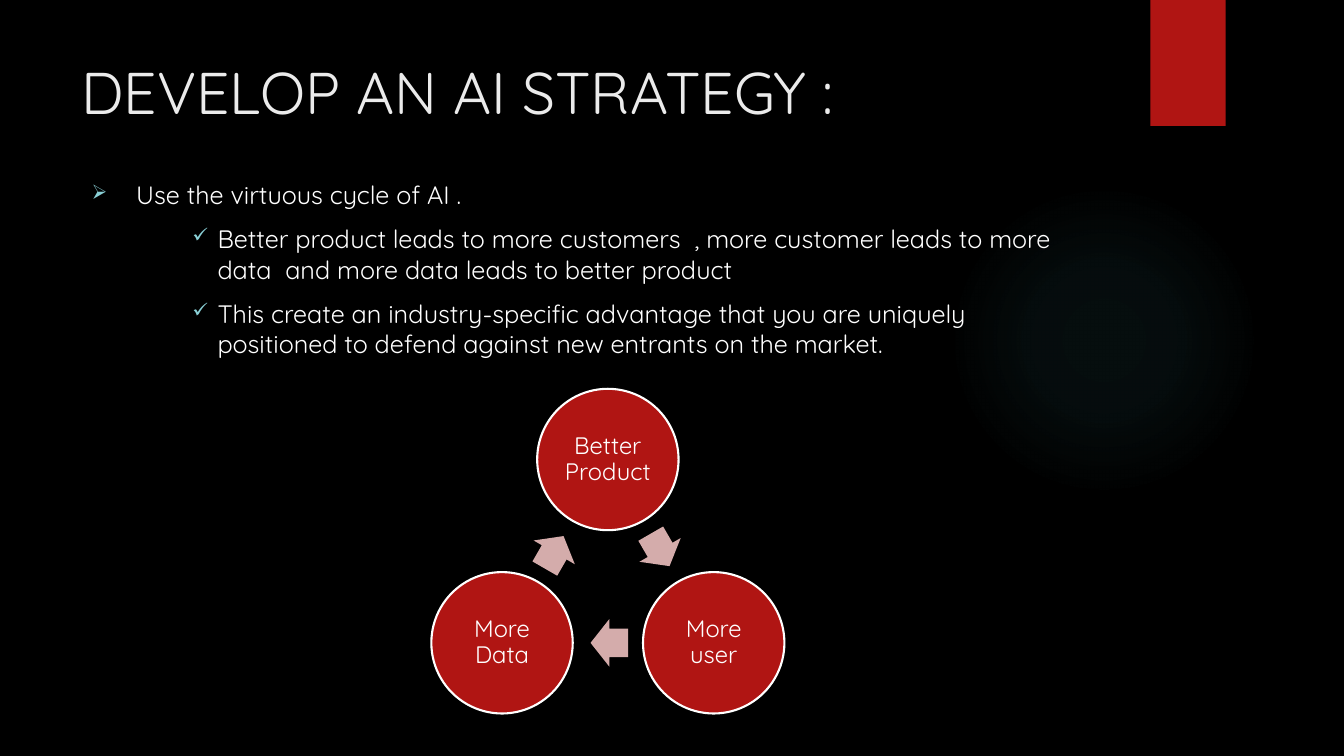
"""Slide on the virtuous cycle of AI: title, bullets and a three-step cycle."""
from math import cos, radians, sin

from lxml.etree import SubElement
from pptx import Presentation
from pptx.dml.color import RGBColor
from pptx.enum.shapes import MSO_SHAPE
from pptx.enum.text import MSO_ANCHOR, PP_ALIGN
from pptx.oxml.ns import qn
from pptx.util import Pt

COLORS = {"background": "000000", "red": "B01513", "pink": "D4ACAB", "white": "FFFFFF",
          "title": "EBEBEB", "bullet": "8AD0D6", "glow": "50B9C1"}
FONT = "Quicksand"
TITLE = "DEVELOP AN AI STRATEGY :"
BULLETS = [
    (0, "➢", " Use the virtuous cycle of AI ."),
    (2, "✓", "Better product leads to more customers  , more customer leads to more data  "
             "and more data leads to better product"),
    (2, "✓", "This create an industry-specific advantage that you are uniquely "
             "positioned to defend against new entrants on the market."),
]
INDENTS = {0: (27, -27), 2: (90, -18)}
STEPS = ["Better Product", "More user", "More Data"]
GLOW_STOPS = [(0, 7), (36, 6), (69, 0)]

TITLE_BOX = (51, 36, 741, 110)
BODY_BOX = (58.3, 124.6, 704, 121)
GLOW_BOX = (677.5, 131.8, 221.8, 221.8)
RIBBON_BOX = (821.8, 0, 53.8, 90)
CYCLE_CENTER = (434.2, 415.5)
CYCLE_RADIUS = 87.3
CIRCLE_SIZE = 101
ARROW_SIZE = (26.8, 34)
ARROW_SETBACK = 1


def color(name):
    return RGBColor.from_string(COLORS[name])


def apply_format(target, values):
    for name, value in values.items():
        setattr(target, name, value)


def write(para, text, size, color_name):
    span = para.add_run()
    span.text = text
    apply_format(span.font, {"name": FONT, "size": Pt(size)})
    span.font.color.rgb = color(color_name)


def add_text_box(page, bounds):
    frame = page.shapes.add_textbox(*map(Pt, bounds)).text_frame
    apply_format(frame, {"word_wrap": True, "vertical_anchor": MSO_ANCHOR.TOP})
    return frame


def add_filled(page, kind, bounds, fill_name):
    shape = page.shapes.add_shape(kind, *map(Pt, bounds))
    shape.shadow.inherit = False
    shape.fill.solid()
    shape.fill.fore_color.rgb = color(fill_name)
    shape.line.fill.background()
    return shape


def centered(x, y, width, height):
    return x - width / 2, y - height / 2, width, height


def add_glow(page):
    glow = add_filled(page, MSO_SHAPE.OVAL, GLOW_BOX, "glow")
    glow.fill.gradient()
    gradient = glow.element.spPr.find(qn("a:gradFill"))
    for child in list(gradient):
        gradient.remove(child)
    stops = SubElement(gradient, qn("a:gsLst"))
    for position, opacity in GLOW_STOPS:
        stop = SubElement(stops, qn("a:gs"), pos=str(position * 1000))
        tint = SubElement(stop, qn("a:srgbClr"), val=COLORS["glow"])
        SubElement(tint, qn("a:alpha"), val=str(opacity * 1000))
    circle = SubElement(gradient, qn("a:path"), path="circle")
    SubElement(circle, qn("a:fillToRect"), {side: "50000" for side in "ltrb"})


def add_bullets(page):
    frame = add_text_box(page, BODY_BOX)
    for index, (level, mark, text) in enumerate(BULLETS):
        para = frame.add_paragraph() if index else frame.paragraphs[0]
        apply_format(para, {"level": level, "space_before": Pt(10 if index else 0)})
        properties = para._p.get_or_add_pPr()
        margin, indent = INDENTS[level]
        properties.set("marL", str(Pt(margin)))
        properties.set("indent", str(Pt(indent)))
        tint = SubElement(properties, qn("a:buClr"))
        SubElement(tint, qn("a:srgbClr"), val=COLORS["bullet"])
        SubElement(properties, qn("a:buSzPct"), val="80000")
        SubElement(properties, qn("a:buChar"), char=mark)
        write(para, text, 18, "white")


def add_step(page, x, y, text):
    circle = add_filled(page, MSO_SHAPE.OVAL, centered(x, y, CIRCLE_SIZE, CIRCLE_SIZE), "red")
    circle.line.color.rgb = color("white")
    circle.line.width = Pt(1.5)
    frame = circle.text_frame
    inset = Pt(1.5)
    apply_format(frame, {"word_wrap": True, "vertical_anchor": MSO_ANCHOR.MIDDLE,
                         "margin_left": inset, "margin_right": inset,
                         "margin_top": inset, "margin_bottom": inset})
    para = frame.paragraphs[0]
    apply_format(para, {"alignment": PP_ALIGN.CENTER, "line_spacing": 0.9})
    write(para, text, 17, "white")


def add_cycle(page):
    turn = 360 / len(STEPS)
    center_x, center_y = CYCLE_CENTER
    middle_radius = CYCLE_RADIUS * cos(radians(turn / 2))
    for index, text in enumerate(STEPS):
        angle = radians(index * turn - 90)
        add_step(page, center_x + CYCLE_RADIUS * cos(angle),
                 center_y + CYCLE_RADIUS * sin(angle), text)
        heading = (index + 0.5) * turn
        outward, forward = radians(heading - 90), radians(heading)
        x = center_x + middle_radius * cos(outward) - ARROW_SETBACK * cos(forward)
        y = center_y + middle_radius * sin(outward) - ARROW_SETBACK * sin(forward)
        arrow = add_filled(page, MSO_SHAPE.RIGHT_ARROW, centered(x, y, *ARROW_SIZE), "pink")
        arrow.rotation = heading
        arrow.adjustments[0] = 0.6
        arrow.adjustments[1] = 0.5


def main():
    deck = Presentation()
    apply_format(deck, {"slide_width": Pt(960), "slide_height": Pt(540)})
    page = deck.slides.add_slide(deck.slide_layouts[6])
    page.background.fill.solid()
    page.background.fill.fore_color.rgb = color("background")
    add_glow(page)
    add_filled(page, MSO_SHAPE.RECTANGLE, RIBBON_BOX, "red")
    write(add_text_box(page, TITLE_BOX).paragraphs[0], TITLE, 42, "title")
    add_bullets(page)
    add_cycle(page)
    deck.save("out.pptx")


if __name__ == "__main__":
    main()
